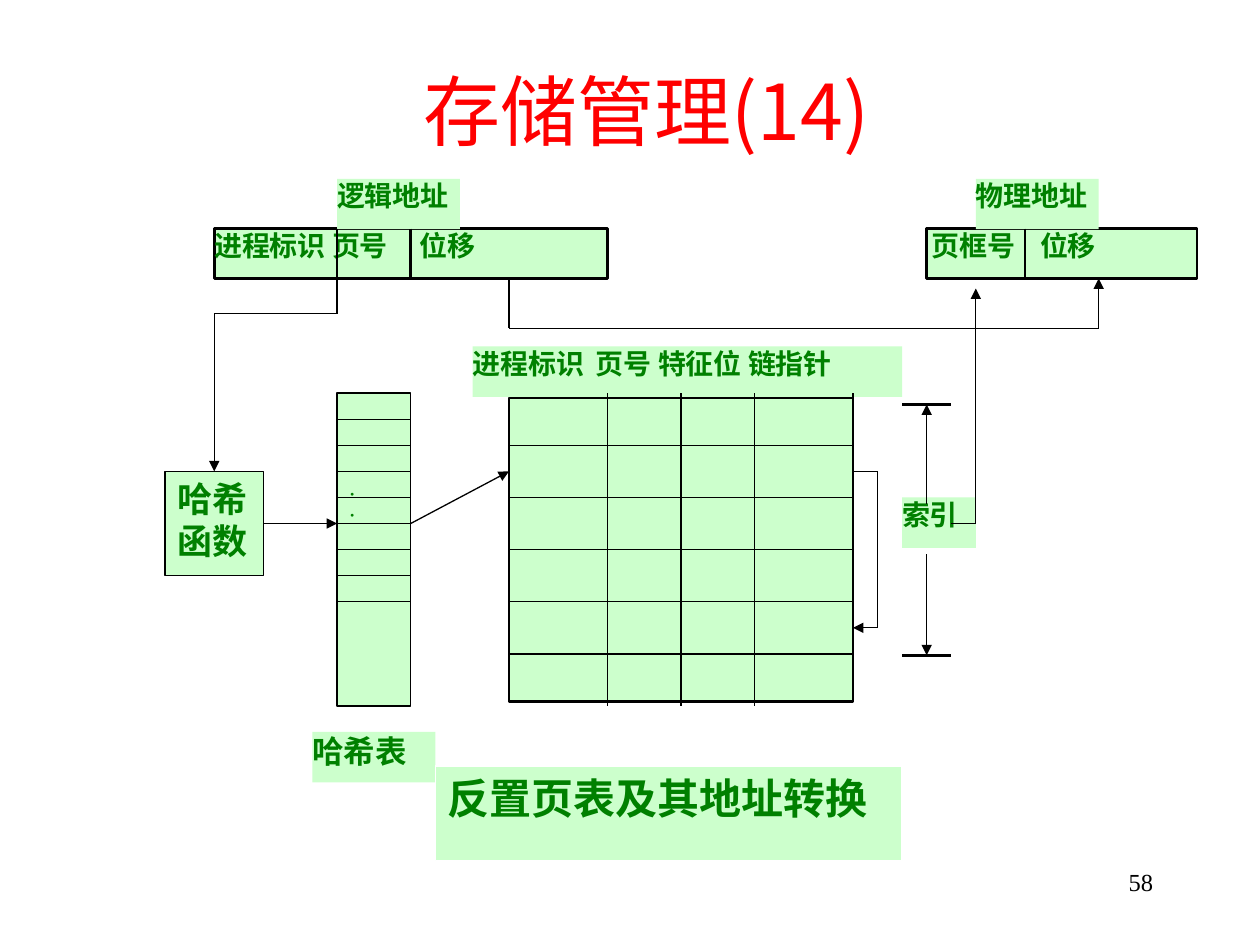
from dataclasses import dataclass

from lxml import etree
from pptx import Presentation
from pptx.dml.color import RGBColor
from pptx.enum.shapes import MSO_CONNECTOR, MSO_SHAPE
from pptx.enum.text import MSO_ANCHOR, PP_ALIGN
from pptx.oxml.ns import qn
from pptx.util import Inches, Pt

RECTANGLE = MSO_SHAPE.RECTANGLE
STRAIGHT = MSO_CONNECTOR.STRAIGHT
TOP, MIDDLE = MSO_ANCHOR.TOP, MSO_ANCHOR.MIDDLE
LEFT, CENTER, RIGHT = PP_ALIGN.LEFT, PP_ALIGN.CENTER, PP_ALIGN.RIGHT

SANS, SERIF = "Noto Sans CJK SC", "Times New Roman"
MINT, GREEN, RED, BLACK, WHITE = "CCFFCC", "008000", "FF0000", "000000", "FFFFFF"
THIN, THICK = 0.75, 1.5
PADDED = (0.1, 0.05)


def column(number: float) -> float:
    return 1.31 + 0.195 * number


def address_row(number: float) -> float:
    return 1.42 + 0.395 * number


def table_row(number: float) -> float:
    return 3.12 + 0.207 * number


def color(hex_code: str) -> RGBColor:
    return RGBColor.from_string(hex_code)


@dataclass
class Words:
    lines: tuple[str, ...]
    size: float = 16
    font: str = SANS
    ink: str = GREEN
    bold: bool = True
    align: PP_ALIGN = LEFT
    anchor: MSO_ANCHOR = TOP
    inset: tuple[float, float] = (0, 0)
    tab: float = 0


@dataclass
class Box:
    left: float
    top: float
    right: float
    bottom: float
    words: Words | None = None
    border: float = 0
    border_color: str = BLACK


@dataclass
class Route:
    """A run of straight lines through the points, with an optional arrowhead at the end."""
    points: tuple[tuple[float, float], ...]
    arrow: bool = False
    width: float = THIN


def write(shape, words: Words) -> None:
    frame = shape.text_frame
    frame.word_wrap = True
    frame.vertical_anchor = words.anchor
    frame.margin_left = frame.margin_right = Inches(words.inset[0])
    frame.margin_top, frame.margin_bottom = Inches(words.inset[1]), 0
    for index, line in enumerate(words.lines):
        para = frame.add_paragraph() if index else frame.paragraphs[0]
        para.alignment = words.align
        if words.tab:
            tabs = etree.SubElement(para._p.get_or_add_pPr(), qn("a:tabLst"))
            etree.SubElement(tabs, qn("a:tab"), pos=str(Inches(words.tab)), algn="l")
        span = para.add_run()
        span.text = line
        span.font.size = Pt(words.size)
        span.font.bold = words.bold
        span.font.color.rgb = color(words.ink)
        span.font.name = words.font
        etree.SubElement(span._r.get_or_add_rPr(), qn("a:ea"), typeface=words.font)


def draw_box(page, box: Box) -> None:
    shape = page.shapes.add_shape(
        RECTANGLE, Inches(box.left), Inches(box.top),
        Inches(box.right - box.left), Inches(box.bottom - box.top))
    shape.shadow.inherit = False
    shape.fill.solid()
    shape.fill.fore_color.rgb = color(MINT)
    if box.border:
        shape.line.color.rgb = color(box.border_color)
        shape.line.width = Pt(box.border)
    else:
        shape.line.fill.background()
    if box.words:
        write(shape, box.words)


def draw_route(page, route: Route) -> None:
    for start, end in zip(route.points, route.points[1:]):
        line = page.shapes.add_connector(
            STRAIGHT, *(Inches(length) for length in (*start, *end)))
        line.line.color.rgb = color(BLACK)
        line.line.width = Pt(route.width)
        if route.arrow and end == route.points[-1]:
            etree.SubElement(line.line._get_or_add_ln(), qn("a:tailEnd"), type="triangle")
        etree.SubElement(line._element.spPr, qn("a:effectLst"))


def draw_text(page, left: float, top: float, width: float, height: float, words: Words) -> None:
    box = page.shapes.add_textbox(Inches(left), Inches(top), Inches(width), Inches(height))
    write(box, words)


def vertical(number: float, top: float, bottom: float, width: float = THIN) -> Route:
    return Route(((column(number), top), (column(number), bottom)), width=width)


def horizontal(first: float, last: float, y: float, width: float = THIN) -> Route:
    return Route(((column(first), y), (column(last), y)), width=width)


def label(first: float, last: float, top: float, text: str, size: float = 16, tab: float = 0) -> Box:
    return Box(column(first), top, column(last), top + 0.4, Words((text,), size, tab=tab))


BAR_TOP, BAR_BOTTOM = address_row(1), address_row(2)
TABLE_TOP, TABLE_BOTTOM = table_row(0), table_row(12)
INDEX_TOP, INDEX_BOTTOM = 3.21, 5.2

BOXES = [
    Box(column(31), BAR_TOP, column(42), BAR_BOTTOM,
        Words(("页框号\t位移",), inset=(0.04, 0), tab=0.86), THICK),
    Box(column(14), 3.16, column(28), 5.57, border=THICK),
    Box(column(2), BAR_TOP, column(18), BAR_BOTTOM,
        Words(("进程标识 页号\t位移",), tab=1.63), THICK),
    Box(3.75, 2.75, column(30), 3.15, Words(("进程标识\t页号 特征位 链指针",), tab=0.98)),
    label(30, 33, table_row(4), "索引"),
    label(33, 38, address_row(0), "物理地址"),
    label(7, 12, address_row(0), "逻辑地址"),
    Box(column(7), TABLE_TOP, column(10), TABLE_BOTTOM,
        Words(("·", "·"), 10, SERIF, inset=(0.1, 0.71)), THIN),
    Box(column(0), table_row(3), column(4), table_row(7),
        Words(("哈希", "函数"), 20, inset=PADDED), THIN),
    label(6, 11, 5.81, "哈希表", 18),
    Box(column(11), 6.08, column(30), 6.83,
        Words(("反置页表及其地址转换",), 24, inset=PADDED), THIN, WHITE),
]

ROUTES = [
    *(vertical(number, BAR_TOP, BAR_BOTTOM, THICK) for number in (7, 10, 35)),
    *(vertical(number, TABLE_TOP, TABLE_BOTTOM) for number in (18, 21, 24)),
    vertical(28, TABLE_TOP, 5.57, 1),
    *(horizontal(7, 10, table_row(number)) for number in range(1, 9)),
    *(horizontal(14, 28, table_row(number)) for number in range(2, 11, 2)),
    *(horizontal(30, 32, y, THICK) for y in (INDEX_TOP, INDEX_BOTTOM)),
    Route(((column(31), 4), (column(31), INDEX_TOP)), True),
    Route(((column(31), 4.4), (column(31), INDEX_BOTTOM)), True),
    Route(((column(32), table_row(5)), (column(33), table_row(5)), (column(33), 2.29)), True),
    Route(((column(14), BAR_BOTTOM), (column(14), address_row(3)),
           (column(38), address_row(3)), (column(38), BAR_BOTTOM)), True),
    Route(((column(7), 2.08), (column(7), 2.49), (column(2), 2.49),
           (column(2), table_row(3))), True),
    Route(((column(4), table_row(5)), (column(7), table_row(5))), True),
    Route(((column(10), table_row(5)), (column(14), table_row(3))), True),
    Route(((column(28), table_row(3)), (column(29), table_row(3)),
           (column(29), table_row(9)), (column(28), table_row(9))), True),
]


def main() -> None:
    deck = Presentation()
    deck.slide_width, deck.slide_height = Inches(10), Inches(7.5)
    page = deck.slides.add_slide(deck.slide_layouts[6])
    draw_text(page, 1.09, 0.83, 8.08, 0.08,
              Words(("存储管理(14)",), 44, ink=RED, bold=False, align=CENTER, anchor=MIDDLE))
    for box in BOXES:
        draw_box(page, box)
    for route in ROUTES:
        draw_route(page, route)
    draw_text(page, 7.17, 6.83, 2.08, 0.5,
              Words(("58",), 14, SERIF, BLACK, False, RIGHT, inset=PADDED))
    deck.save("out.pptx")


if __name__ == "__main__":
    main()
